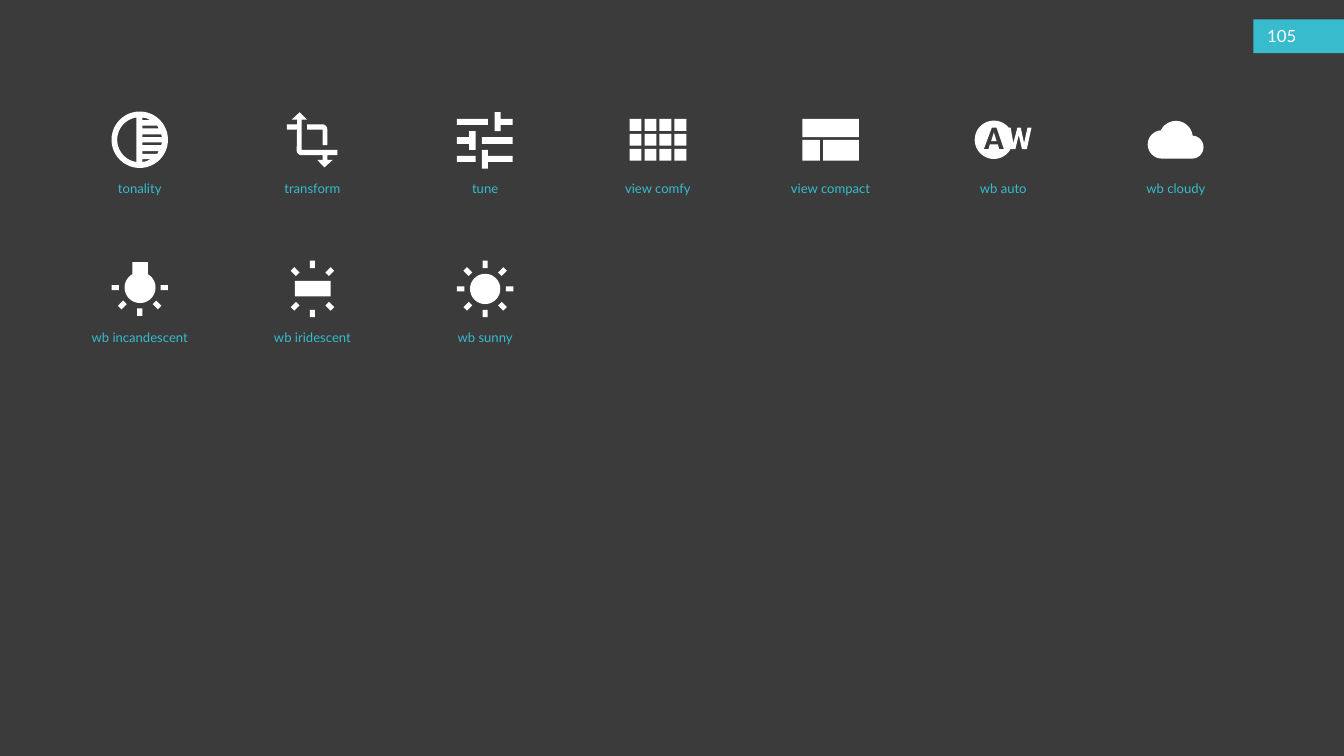
"""Build a slide with a grid of labelled photo-editing icons."""
from math import cos, radians, sin

from pptx import Presentation
from pptx import util as u
from pptx.dml.color import RGBColor
from pptx.enum import shapes, text

DARK, TEAL, WHITE = "3B3B3B", "37BBCD", "FFFFFF"
COLS = 7
LEFT, TOP = 2.08, 2.08
STEP_X, STEP_Y = 2.57, 2.22


def paint(fill, color):
    """Make a fill solid with a hex colour."""
    fill.solid()
    fill.fore_color.rgb = RGBColor.from_string(color)


def arc(x, y, r, start=0, end=360):
    """Return points along an arc, angles in degrees clockwise from the right."""
    turns = [radians(start + (end - start) * i / 48) for i in range(49)]
    return [(x + r * cos(t), y + r * sin(t)) for t in turns]


def box(x1, y1, x2, y2):
    """Return the corners of a rectangle."""
    return [(x1, y1), (x2, y1), (x2, y2), (x1, y2)]


def rays(angles, y=0):
    """Return one short bar per angle around a lamp."""
    bars = []
    for angle in angles:
        c, s = cos(radians(angle)), sin(radians(angle))
        bars.append([(a * c - b * s, y + a * s + b * c)
                     for a, b in box(31, -3.75, 42, 3.75)])
    return bars


def tonality():
    """Return a ring with an open left half and a striped right half."""
    gaps = [
        [(4, -33), (10, -32), (16, -29), (4, -29)],
        [(4, -21), (26, -21), (28, -17), (4, -17)],
        [(4, -8), (32, -8), (33, -4), (4, -4)],
    ]
    flip = [[(x, -y) for x, y in gap] for gap in gaps]
    return [arc(0, 0, 42), arc(0, 0, 33.5, 98.5, 261.5)] + gaps + flip


def crop():
    """Return two interlocked corners with arrowheads."""
    frame = [(37, 23), (37, 15), (-16, 15), (-16, -30), (-8, -30), (-19, -41),
             (-31, -30), (-23, -30), (-23, -23), (-38, -23), (-38, -15),
             (-23, -15)]
    frame += arc(-16, 15.5, 7.5, 180, 90)
    frame += [(15, 23), (15, 30), (7, 30), (18, 41), (30, 30), (22, 30), (22, 23)]
    hook = [(-8, -15), (15, -15), (15, 8), (22, 8)]
    hook += arc(14.5, -15.5, 7.5, 0, -90) + [(-8, -23)]
    return [frame, hook]


def tune():
    """Return three slider tracks with knobs."""
    return [box(*b) for b in (
        (-42, -31, 4, -22), (14, -41, 23, -13), (23, -31, 41, -22),
        (-42, -4, -24, 6), (-24, -13, -14, 15), (-5, -4, 41, 6),
        (-42, 24, -14, 33), (-5, 15, 4, 43), (4, 24, 41, 33))]


def comfy():
    """Return a grid of four by three tiles."""
    size, step = 17.6, 22.2
    spots = [(-42 + step * i, -31 + step * j) for j in range(3) for i in range(4)]
    return [box(x, y, x + size, y + size) for x, y in spots]


def compact():
    """Return one wide tile above two tiles."""
    return [box(-42, -31, 42, -4), box(-42, 0, -16, 31), box(-11, 0, 42, 31)]


def auto():
    """Return a disc with a cut-out A, joined to a W."""
    disc = [(36, -18), (31, 5), (26, -18), (21, -18), (15, 5), (11, -18)]
    disc += arc(-14, 0, 28.5, -39, -333)
    disc += [(12, 14), (18, 14), (23, -7), (28, 14), (35, 14), (42, -18)]
    mark = [(-6, 14), (-8, 7), (-20, 7), (-22, 14), (-29, 14), (-17, -18),
            (-10, -18), (1, 14)]
    return [disc, mark, [(-18, 2), (-10, 2), (-14, -11)]]


def cloud():
    """Return a cloud made of three arcs."""
    return [arc(0, -3, 25, -9, -154) + arc(-21, 7, 21, -96, -270)
            + arc(24, 11, 17, 90, -87)]


def bulb():
    """Return a hanging bulb with rays below."""
    lamp = arc(0.5, -2, 23, -60, 240) + [(-11, -40), (12, -40)]
    return [lamp] + rays(range(0, 181, 45), -2)


def tube():
    """Return a tube lamp with rays above and below."""
    return [box(-26, -12, 27, 11)] + rays((45, 90, 135, 225, 270, 315))


def sun():
    """Return a disc with rays all round."""
    return [arc(0, 0, 22.5)] + rays(range(0, 360, 45))


ICONS = [
    ("tonality", tonality), ("transform", crop), ("tune", tune),
    ("view comfy", comfy), ("view compact", compact), ("wb auto", auto),
    ("wb cloudy", cloud), ("wb incandescent", bulb), ("wb iridescent", tube),
    ("wb sunny", sun),
]


def draw(slide, x, y, parts):
    """Draw closed outlines, in hundredths of an inch, around a centre."""
    pen = None
    for part in parts:
        spots = [(u.Inches(x + a / 100), u.Inches(y + b / 100)) for a, b in part]
        if pen is None:
            pen = slide.shapes.build_freeform(*spots[0])
        else:
            pen.move_to(*spots[0])
        pen.add_line_segments(spots[1:], close=True)
    icon = pen.convert_to_shape()
    icon.shadow.inherit = False
    paint(icon.fill, WHITE)
    icon.line.fill.background()


def write(slide, spot, words, size, color, align, anchor):
    """Add a text box with one run."""
    frame = slide.shapes.add_textbox(*map(u.Inches, spot)).text_frame
    frame.word_wrap = True
    frame.vertical_anchor = anchor
    para = frame.paragraphs[0]
    para.alignment = align
    run = para.add_run()
    run.text = words
    run.font.name = "Lato"
    run.font.size = u.Pt(size)
    run.font.color.rgb = RGBColor.from_string(color)


def badge(slide, number):
    """Add the page number on its coloured tab."""
    tab = slide.shapes.add_shape(shapes.MSO_SHAPE.RECTANGLE,
                                 *map(u.Inches, (18.65, 0.29, 1.35, 0.5)))
    tab.shadow.inherit = False
    paint(tab.fill, TEAL)
    tab.line.fill.background()
    write(slide, (18.76, 0.28, 0.67, 0.5), number, 18, WHITE,
          text.PP_ALIGN.LEFT, text.MSO_ANCHOR.MIDDLE)


def main():
    """Build and save the slide."""
    deck = Presentation()
    deck.slide_width, deck.slide_height = u.Inches(20), u.Inches(11.25)
    slide = deck.slides.add_slide(deck.slide_layouts[6])
    paint(slide.background.fill, DARK)
    badge(slide, "105")
    for i, (name, shape) in enumerate(ICONS):
        row, col = divmod(i, COLS)
        x, y = LEFT + STEP_X * col, TOP + STEP_Y * row
        draw(slide, x, y, shape())
        write(slide, (x - 1.39, y + 0.56, 2.78, 0.34), name, 14, TEAL,
              text.PP_ALIGN.CENTER, text.MSO_ANCHOR.TOP)
    deck.save("out.pptx")


if __name__ == "__main__":
    main()
